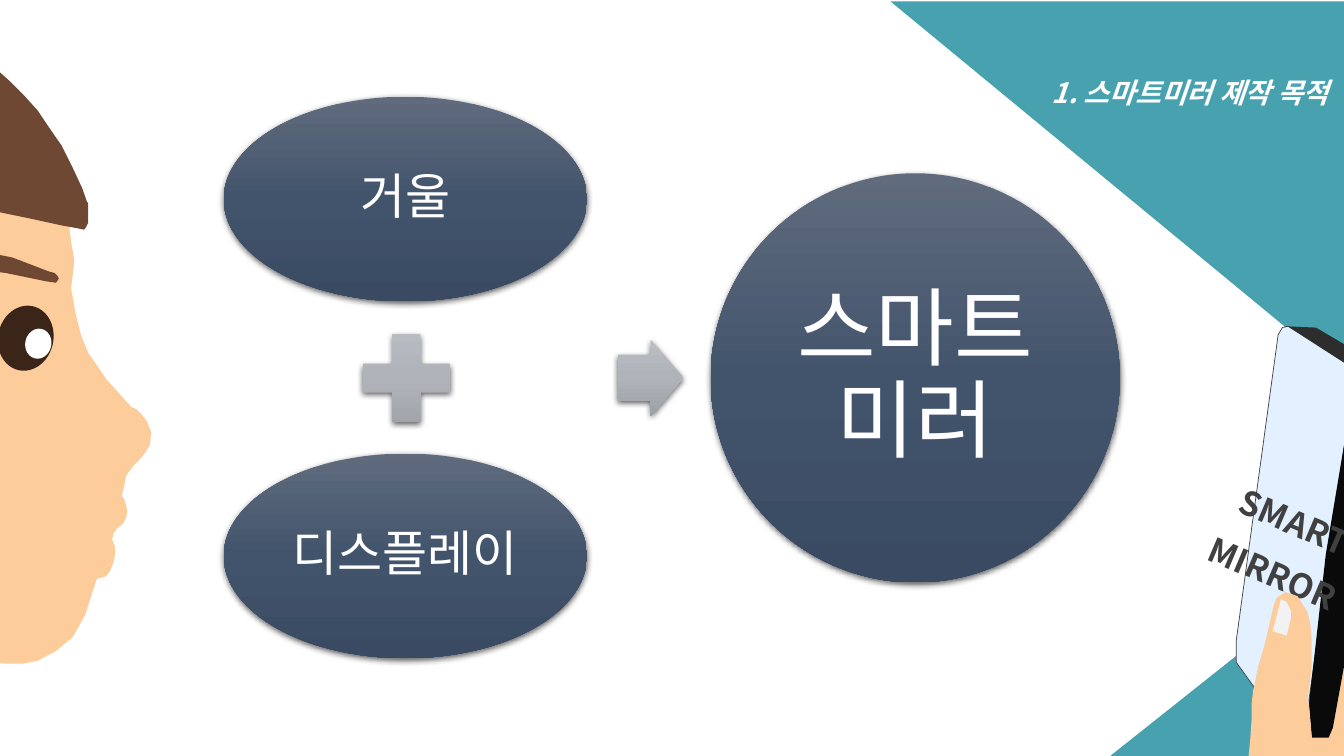
"""Build the slide on why the smart mirror is made."""
from pptx import Presentation
from pptx.dml.color import RGBColor
from pptx.enum.shapes import MSO_SHAPE
from pptx.enum.text import MSO_ANCHOR, PP_ALIGN
from pptx.oxml import parse_xml
from pptx.oxml.ns import nsdecls, qn
from pptx.util import Pt

FONT = "Noto Sans CJK KR"
WHITE = RGBColor(255, 255, 255)
TEAL = RGBColor(0x48, 0xA1, 0xAF)
SKIN = RGBColor(0xFD, 0xCC, 0x9B)
HAIR = RGBColor(0x6E, 0x48, 0x32)
IRIS = RGBColor(0x3B, 0x25, 0x19)
NAIL = RGBColor(0xF2, 0xF2, 0xF2)
GLASS = RGBColor(0xE2, 0xF0, 0xFF)
BLACK = RGBColor(0x0A, 0x0A, 0x0A)
DARK = RGBColor(0x2D, 0x2D, 0x2D)
GREY = RGBColor(0x40, 0x40, 0x40)
NAVY = ("606B7D", "42546C", "394A62")
SILVER = ("BABDC2", "B0B3BA", "9C9FA6")

TITLE = "1. 스마트미러 제작 목적"
LABEL = ("SMART", "MIRROR")

CORNERS = [
    ((793, 405, 170, 135), ("flipH",)),
    ((636, 1, 325, 268), ("flipH", "flipV")),
]
ARM = [
    (991, 611), (996, 588), (996, 553), (996, 529), (997, 502), (996, 477),
    (994, 469), (953, 465), (950, 475), (945, 496), (934, 520), (891, 545),
    (890, 550), (888, 562), (888, 582), (891, 608), (897, 631), (894, 638),
    (870, 665), (858, 680), (857, 697), (863, 711), (876, 721), (894, 726),
    (911, 728), (927, 724), (940, 715), (950, 694), (968, 660), (990, 613),
]
FACE = [
    (94, 291), (86, 282), (76, 271), (70, 262), (63, 252), (58, 240),
    (54, 224), (51, 207), (51, 204), (53, 188), (53, 185), (51, 174),
    (48, 151), (42, 129), (36, 109), (30, 97), (12, 76), (-13, 54),
    (-40, 37), (-72, 22), (-110, 14), (-131, 13), (-169, 17), (-218, 32),
    (-262, 55), (-302, 91), (-328, 140), (-339, 207), (-333, 277),
    (-311, 343), (-280, 410), (-302, 454), (-334, 494), (-316, 533),
    (-286, 574), (-220, 619), (-202, 575), (-165, 513), (-131, 481),
    (-93, 464), (-60, 463), (-19, 470), (-10, 473), (4, 474), (17, 474),
    (27, 472), (40, 465), (52, 455), (61, 439), (66, 423), (69, 414),
    (74, 409), (89, 346), (90, 340), (95, 333), (100, 328), (104, 323),
    (107, 318), (108, 309), (105, 301), (102, 297), (97, 292),
]
BROW = [
    (39, 195), (35, 194), (9, 184), (-6, 181), (-18, 180), (-23, 182),
    (-30, 186), (-43, 197), (-33, 195), (-12, 193), (4, 195), (33, 201),
    (40, 202), (42, 199), (41, 197),
]
FRINGE = [
    (62, 144), (59, 135), (52, 120), (44, 104), (35, 91), (27, 79), (17, 68),
    (7, 58), (-3, 49), (-14, 41), (-35, 28), (-58, 19), (-88, 12), (-135, 9),
    (-179, 14), (-219, 25), (-250, 38), (-281, 58), (-307, 83), (-327, 110),
    (-340, 140), (-348, 170), (-350, 201), (-350, 232), (-340, 285),
    (-322, 339), (-285, 413), (-284, 415), (-265, 395), (-251, 369),
    (-241, 334), (-228, 295), (-210, 259), (-188, 225), (-163, 197),
    (-132, 176), (-95, 157), (-57, 148), (-30, 148), (-8, 150), (21, 156),
    (44, 161), (55, 163), (60, 164), (61, 163), (63, 159), (63, 152), (63, 145),
]
LIPS = [
    (81, 383), (81, 381), (84, 377), (88, 374), (90, 370), (91, 365),
    (89, 357), (86, 353), (81, 351), (79, 351), (76, 352), (72, 356),
    (63, 367), (60, 372), (58, 376), (56, 384), (54, 403), (54, 407),
    (58, 409), (63, 412), (71, 413), (75, 412), (77, 410), (79, 407),
    (81, 402), (82, 397), (82, 390), (80, 385),
]
SCREEN = [
    (913, 239), (916, 234), (920, 233), (962, 260), (962, 306), (935, 500),
    (937, 520), (896, 491), (883, 473), (883, 458),
]
SIDE = [
    (962, 306), (947, 396), (935, 503), (937, 527), (949, 527), (952, 520),
    (962, 465),
]
TOP = [(917, 233), (940, 234), (962, 247), (962, 260), (920, 233)]
THUMB = [
    (935, 503), (934, 500), (937, 476), (937, 457), (936, 446), (934, 437),
    (930, 431), (927, 426), (922, 424), (918, 423), (915, 425), (912, 427),
    (910, 432), (906, 449), (903, 462), (899, 475), (895, 494), (894, 503),
    (894, 514), (893, 529), (891, 549), (890, 552), (938, 538),
]
NAIL_EDGE = [(915, 428), (919, 430), (922, 436), (922, 442), (919, 454), (909, 451)]

BODY = [(ARM, SKIN), (FACE, SKIN), (BROW, HAIR), (FRINGE, HAIR), (LIPS, SKIN)]
PHONE = [(SCREEN, GLASS), (SIDE, BLACK), (TOP, DARK)]
HOLD = [(THUMB, SKIN), (NAIL_EDGE, NAIL)]
EYE = [((-1.44, 218.2, 39.6, 46.8), IRIS), ((18, 234.7, 18.7, 21.6), WHITE)]
SUM = [
    (MSO_SHAPE.OVAL, (159.8, 69.1, 259.5, 146.2), NAVY, "거울", 35, 3.6),
    (MSO_SHAPE.MATH_PLUS, (247.7, 227.5, 85, 85), SILVER, "", 0, 0),
    (MSO_SHAPE.OVAL, (159.8, 324, 259.5, 146.2), NAVY, "디스플레이", 35, 3.6),
    (MSO_SHAPE.RIGHT_ARROW, (441.4, 242.6, 46.8, 54.7), SILVER, "", 0, 0),
    (MSO_SHAPE.OVAL, (507.6, 123.8, 292.3, 292.3), NAVY, "스마트미러", 61, 5.8),
]


def paint(shape, color):
    shape.shadow.inherit = False
    shape.fill.solid()
    shape.fill.fore_color.rgb = color
    shape.line.fill.background()


def draw(slide, parts):
    for dots, color in parts:
        pen = slide.shapes.build_freeform(*dots[0], scale=Pt(1))
        pen.add_line_segments(dots[1:], close=True)
        shape = pen.convert_to_shape()
        paint(shape, color)
        if dots is SCREEN:
            shape.line.color.rgb = GREY
            shape.line.width = Pt(0.5)


def add(slide, kind, box):
    return slide.shapes.add_shape(kind, *map(Pt, box))


def shade(shape, tones):
    shape.line.fill.background()
    line = shape.element.spPr.find(qn("a:ln"))
    stops = "".join(
        f'<a:gs pos="{i * 50000}"><a:srgbClr val="{tone}"/></a:gs>'
        for i, tone in enumerate(tones))
    line.addprevious(parse_xml(
        f'<a:gradFill {nsdecls("a")} rotWithShape="1"><a:gsLst>{stops}</a:gsLst>'
        '<a:lin ang="5400000" scaled="0"/></a:gradFill>'))
    line.addnext(parse_xml(
        f'<a:effectLst {nsdecls("a")}><a:outerShdw blurRad="{Pt(4.5)}" '
        f'dist="{Pt(1.5)}" dir="5400000" rotWithShape="0"><a:srgbClr val="000000">'
        '<a:alpha val="63000"/></a:srgbClr></a:outerShdw></a:effectLst>'))


def write(frame, lines, size, color, align, gap, bold=False, slant=False):
    frame.word_wrap = True
    for i, line in enumerate(lines):
        para = frame.add_paragraph() if i else frame.paragraphs[0]
        para.text = line
        para.alignment = align
        para.line_spacing = gap
        font = para.font
        font.name, font.size, font.bold, font.italic = FONT, Pt(size), bold, slant
        font.color.rgb = color
        for run in para.runs:
            run.font._element.append(parse_xml(
                f'<a:ea {nsdecls("a")} typeface="{FONT}"/>'))


def main():
    deck = Presentation()
    deck.slide_width, deck.slide_height = Pt(960), Pt(540)
    slide = deck.slides.add_slide(deck.slide_layouts[6])
    for box, flips in CORNERS:
        shape = add(slide, MSO_SHAPE.RIGHT_TRIANGLE, box)
        paint(shape, TEAL)
        for flip in flips:
            shape.element.spPr.find(qn("a:xfrm")).set(flip, "1")
    draw(slide, BODY)
    for box, color in EYE:
        shape = add(slide, MSO_SHAPE.OVAL, box)
        shape.rotation = 12.4
        paint(shape, color)
    title = slide.shapes.add_textbox(Pt(711.4), Pt(38.2), Pt(244.8), Pt(43.9))
    write(title.text_frame, [TITLE], 20, WHITE, PP_ALIGN.RIGHT, 1.5, True, True)
    draw(slide, PHONE)
    label = slide.shapes.add_textbox(Pt(844), Pt(341), Pt(150), Pt(90))
    label.rotation = 23.1
    label.text_frame.vertical_anchor = MSO_ANCHOR.MIDDLE
    write(label.text_frame, LABEL, 24, GREY, PP_ALIGN.CENTER, Pt(40), True)
    draw(slide, HOLD)
    for kind, box, tones, text, size, inset in SUM:
        shape = add(slide, kind, box)
        shade(shape, tones)
        if kind == MSO_SHAPE.RIGHT_ARROW:
            shape.adjustments[0] = 0.6
        if text:
            frame = shape.text_frame
            frame.margin_left = frame.margin_right = Pt(inset)
            frame.margin_top = frame.margin_bottom = Pt(inset)
            frame.vertical_anchor = MSO_ANCHOR.MIDDLE
            write(frame, [text], size, WHITE, PP_ALIGN.CENTER, 0.9)
    deck.save("out.pptx")


if __name__ == "__main__":
    main()
